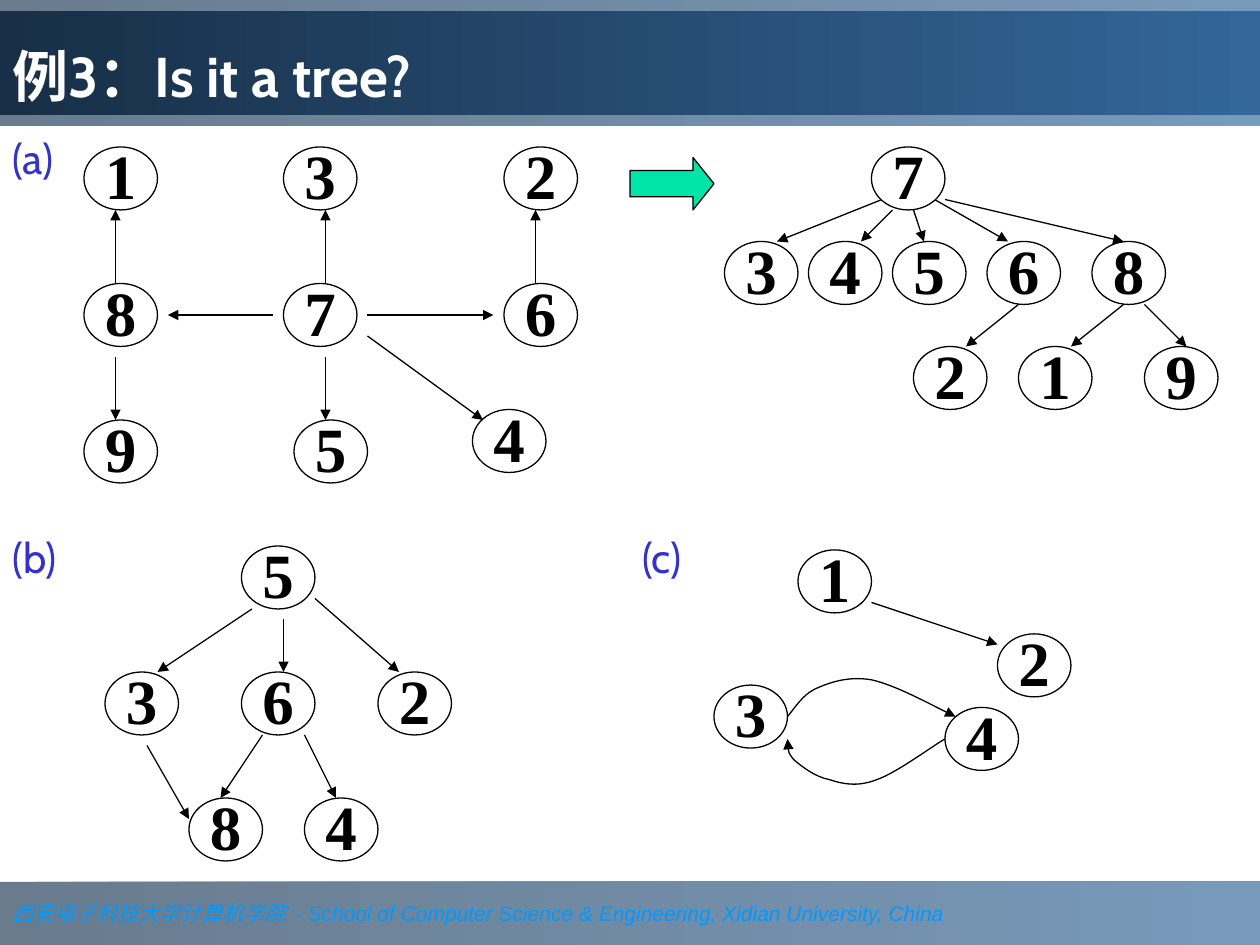
from lxml.etree import SubElement
from pptx import Presentation
from pptx.dml.color import RGBColor
from pptx.enum.shapes import MSO_CONNECTOR, MSO_SHAPE
from pptx.enum.text import MSO_ANCHOR, MSO_AUTO_SIZE, PP_ALIGN
from pptx.oxml.ns import qn
from pptx.util import Pt

PX = 9525  # EMU per pixel, 96 pixels to the inch
NODE_W, NODE_H = 56, 48
BAND_STOPS = ("1C3853", "336699")
TITLE_STOPS = ("182F47", "336699")

# Nodes are (label, left, top); edges are (x1, y1, x2, y2).
GRAPH_A = (
    [("1", 64, 112), ("8", 64, 216), ("9", 64, 320),
     ("3", 216, 112), ("7", 216, 216), ("5", 224, 320),
     ("2", 384, 112), ("6", 384, 216), ("4", 360, 312)],
    [(248, 216, 248, 160), (248, 272, 248, 320), (208, 240, 128, 240),
     (280, 240, 376, 240), (88, 216, 88, 160), (88, 272, 88, 320),
     (408, 216, 408, 160), (280, 256, 368, 320)],
)
TREE_A = (
    [("7", 664, 112),
     ("3", 552, 184), ("4", 616, 184), ("5", 680, 184), ("6", 752, 184), ("8", 832, 184),
     ("2", 696, 264), ("1", 776, 264), ("9", 872, 264)],
    [(672, 152, 592, 184), (680, 160, 656, 184), (696, 160, 704, 184),
     (712, 152, 768, 184), (720, 152, 856, 184), (776, 232, 736, 264),
     (856, 232, 816, 264), (872, 232, 904, 264)],
)
GRAPH_B = (
    [("5", 184, 416), ("3", 80, 512), ("6", 184, 512), ("2", 288, 512),
     ("8", 144, 608), ("4", 232, 608)],
    [(192, 464, 120, 512), (216, 472, 216, 512), (240, 456, 304, 512),
     (112, 568, 144, 624), (200, 560, 168, 608), (232, 560, 256, 608)],
)
GRAPH_C = (
    [("1", 608, 419), ("2", 760, 483), ("3", 544, 522), ("4", 720, 539)],
    [(664, 459, 760, 491)],
)
CURVE_3_TO_4 = [(600, 546), (606, 539), (611, 530), (621, 525), (632, 520), (646, 515),
                (664, 518), (682, 522), (717, 541), (728, 546)]
CURVE_4_TO_3 = [(600, 563), (600, 568), (600, 573), (605, 579), (611, 584), (621, 592),
                (632, 594), (641, 597), (653, 600), (668, 594), (683, 589), (711, 568),
                (720, 563)]


def rgb(value):
    return RGBColor.from_string(value)


def px(*lengths):
    return [length * PX for length in lengths]


def set_font(font, name, size, color, bold=False, italic=False):
    font.name, font.size, font.bold, font.italic = name, Pt(size), bold, italic
    font.color.rgb = rgb(color)


def set_outline(shape):
    shape.line.color.rgb = rgb("000000")
    shape.line.width = Pt(0.75)


def add_arrowhead(shape, end="tailEnd"):
    outline = shape.element.spPr.find(qn("a:ln"))
    SubElement(outline, qn(f"a:{end}"), type="triangle")


def fill_gradient(shape, stops, alpha=None):
    """Fill from left to right; alpha is the opacity in percent."""
    shape.fill.gradient()
    shape.fill.gradient_angle = 0
    for stop, color in zip(shape.fill.gradient_stops, stops):
        stop.color.rgb = rgb(color)
    if alpha:
        for color in shape.element.spPr.iter(qn("a:srgbClr")):
            SubElement(color, qn("a:alpha"), val=str(alpha * 1000))


def add_band(page, top, height):
    band = page.shapes.add_shape(MSO_SHAPE.RECTANGLE, *px(0, top, 960, height))
    band.shadow.inherit = False
    band.line.fill.background()
    fill_gradient(band, BAND_STOPS, alpha=66)
    return band


def add_footer(page):
    frame = add_band(page, 672, 48).text_frame
    frame.word_wrap = False
    para = frame.paragraphs[0]
    para.alignment = PP_ALIGN.LEFT
    for text, font_name in (
        ("西安电子科技大学计算机学院  ", "Times New Roman"),
        ("- School of Computer Science & Engineering, Xidian University, China", "Arial"),
    ):
        span = para.add_run()
        span.text = text
        set_font(span.font, font_name, 12, "0099FF", italic=True)


def format_title(page, text):
    header = add_band(page, 0, 96)
    title = page.shapes.title
    header.element.addnext(title.element)
    title.left, title.top, title.width, title.height = px(0, 8, 960, 80)
    fill_gradient(title, TITLE_STOPS)
    frame = title.text_frame
    frame.text = text
    frame.auto_size = MSO_AUTO_SIZE.NONE
    frame.vertical_anchor = MSO_ANCHOR.BOTTOM
    para = frame.paragraphs[0]
    para.alignment = PP_ALIGN.LEFT
    set_font(para.font, "Cabin", 32, "FFFFFF", bold=True)


def add_node(group, label, left, top):
    node = group.shapes.add_shape(MSO_SHAPE.OVAL, *px(left, top, NODE_W, NODE_H))
    node.shadow.inherit = False
    node.fill.solid()
    node.fill.fore_color.rgb = rgb("FFFFFF")
    set_outline(node)
    frame = node.text_frame
    frame.margin_left = frame.margin_top = frame.margin_right = frame.margin_bottom = 0
    frame.vertical_anchor = MSO_ANCHOR.TOP
    para = frame.paragraphs[0]
    para.text = label
    para.alignment = PP_ALIGN.CENTER
    para.line_spacing = 0.72
    set_font(para.font, "Times New Roman", 36, "000000", bold=True)


def add_edge(group, *ends):
    edge = group.shapes.add_connector(MSO_CONNECTOR.STRAIGHT, *px(*ends))
    set_outline(edge)
    add_arrowhead(edge)
    SubElement(edge.element.spPr, qn("a:effectLst"))


def add_curve(group, points, arrow_end):
    """Draw a Bezier chain: a start point, then two controls and an end per piece."""
    builder = group.shapes.build_freeform(*points[0], scale=PX)
    builder.add_line_segments(points[1:], close=False)
    curve = builder.convert_to_shape()
    outline = next(curve.element.iter(qn("a:path")))
    lines = outline.findall(qn("a:lnTo"))
    for first in range(0, len(lines), 3):
        bezier = SubElement(outline, qn("a:cubicBezTo"))
        for line in lines[first:first + 3]:
            bezier.append(line[0])
            outline.remove(line)
    curve.fill.background()
    set_outline(curve)
    add_arrowhead(curve, arrow_end)
    curve.shadow.inherit = False


def add_graph(page, nodes, edges):
    group = page.shapes.add_group_shape()
    for edge in edges:
        add_edge(group, *edge)
    for node in nodes:
        add_node(group, *node)
    return group


def add_block_arrow(page):
    arrow = page.shapes.add_shape(MSO_SHAPE.RIGHT_ARROW, *px(480, 120, 64, 40))
    arrow.adjustments[0], arrow.adjustments[1] = 0.5, 0.4
    arrow.shadow.inherit = False
    arrow.fill.solid()
    arrow.fill.fore_color.rgb = rgb("00E4A8")
    set_outline(arrow)


def add_label(page, text, left, top):
    box = page.shapes.add_textbox(*px(left, top, 72, 48))
    box.text_frame.word_wrap = True
    para = box.text_frame.paragraphs[0]
    para.text = text
    set_font(para.font, "Cabin", 24, "3333CC")


def main():
    deck = Presentation()
    deck.slide_width, deck.slide_height = px(960, 720)
    page = deck.slides.add_slide(deck.slide_layouts[5])
    add_footer(page)
    format_title(page, "例3：Is it a tree?")
    add_block_arrow(page)
    for graph in (TREE_A, GRAPH_B, GRAPH_A):
        add_graph(page, *graph)
    cycle = add_graph(page, *GRAPH_C)
    add_curve(cycle, CURVE_3_TO_4, "tailEnd")
    add_curve(cycle, CURVE_4_TO_3, "headEnd")
    for text, left, top in (("(a)", 0, 96), ("(b)", 0, 400), ("(c)", 480, 400)):
        add_label(page, text, left, top)
    deck.save("out.pptx")


if __name__ == "__main__":
    main()
